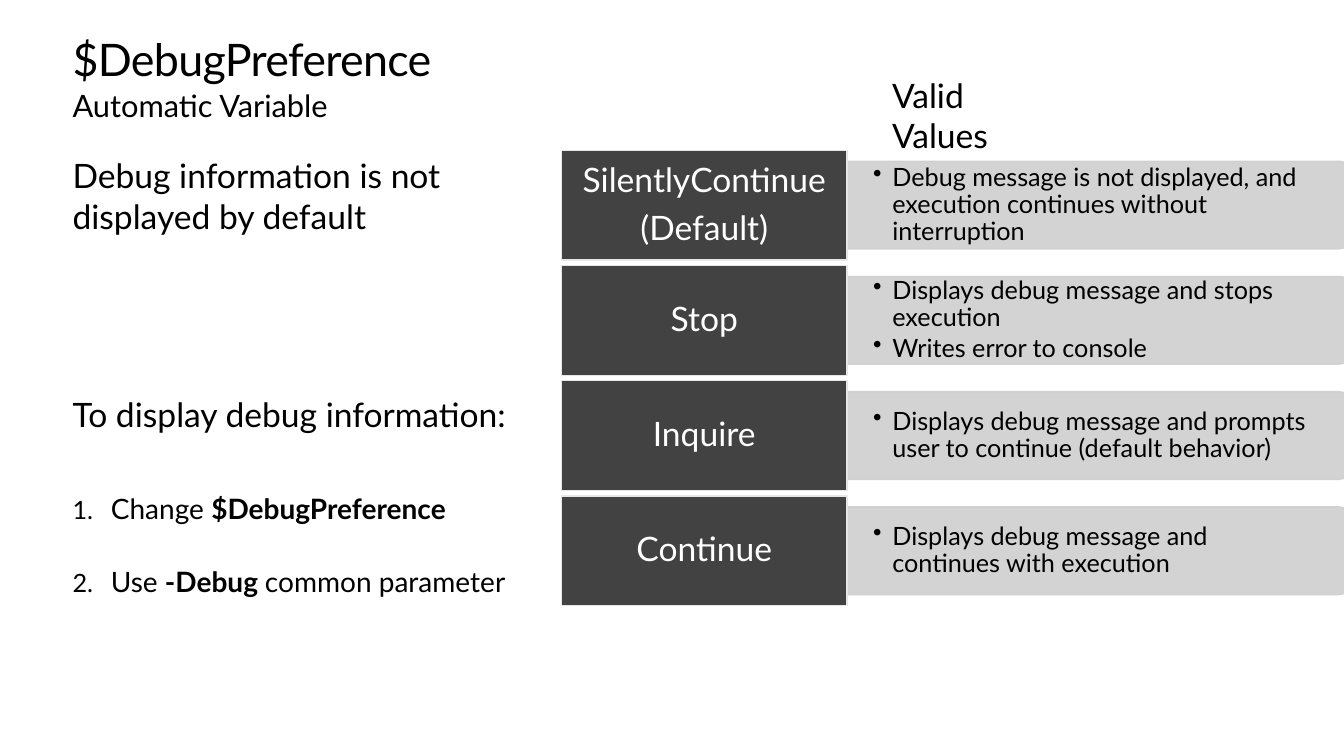
from dataclasses import dataclass

from lxml import etree
from pptx import Presentation
from pptx.dml.color import RGBColor
from pptx.enum.shapes import MSO_SHAPE as Shape
from pptx.enum.text import MSO_ANCHOR as Anchor, MSO_AUTO_SIZE as AutoSize, PP_ALIGN as Align
from pptx.oxml.ns import qn
from pptx.util import Inches, Pt


@dataclass(frozen=True)
class Theme:
    font: str = "Lato"
    ink: RGBColor = RGBColor(0x00, 0x00, 0x00)
    tile: RGBColor = RGBColor(0x41, 0x42, 0x41)
    tile_ink: RGBColor = RGBColor(0xFF, 0xFF, 0xFF)
    tile_edge: RGBColor = RGBColor(0xE6, 0xE6, 0xE6)
    band: RGBColor = RGBColor(0xCF, 0xCF, 0xCF)
    title: int = 32
    heading: int = 24
    subtitle: int = 22
    step: int = 20
    detail: int = 18


theme = Theme()


def write(frame, runs, size, color=theme.ink, before=0, after=0, spacing=None, align=Align.LEFT):
    """Fill the frame's empty first paragraph or a new one; runs are (text, bold) pairs."""
    paragraph = frame.paragraphs[0] if not frame.text else frame.add_paragraph()
    paragraph.alignment = align
    paragraph.space_before, paragraph.space_after = Pt(before), Pt(after)
    paragraph.line_spacing = spacing
    for text, bold in runs:
        run = paragraph.add_run()
        run.text = text
        run.font.name, run.font.size, run.font.bold = theme.font, Pt(size), bold
        run.font.color.rgb = color
    return paragraph


def add_marker(paragraph, indent, tag, **attributes):
    """Give the paragraph a hanging bullet or number."""
    props = paragraph._p.get_or_add_pPr()
    props.set("marL", str(Inches(indent)))
    props.set("indent", str(-Inches(indent)))
    if tag == "a:buAutoNum":
        etree.SubElement(props, qn("a:buSzPct"), val="90000")
    etree.SubElement(props, qn(tag), **attributes)


prs = Presentation()
prs.slide_width, prs.slide_height = Inches(13.33), Inches(7.5)
slide = prs.slides.add_slide(prs.slide_layouts[5])
shapes = slide.shapes

# Left column
title = shapes.title
title.left, title.top, title.width, title.height = map(Inches, (0.72, 0.35, 4.76, 0.5))
subtitle = shapes.add_textbox(*map(Inches, (0.72, 0.86, 4.76, 0.5)))
body = shapes.add_textbox(*map(Inches, (0.72, 1.54, 4.76, 5.27)))
for block in (title, subtitle, body):
    frame = block.text_frame
    frame.word_wrap, frame.auto_size, frame.vertical_anchor = True, AutoSize.NONE, Anchor.TOP
    frame.margin_left = frame.margin_right = frame.margin_top = frame.margin_bottom = 0

heading = write(title.text_frame, [("$DebugPreference", False)], theme.title, spacing=Pt(36.2))
heading.runs[0].font._element.set("spc", "-50")
write(subtitle.text_frame, [("Automatic Variable", False)], theme.subtitle, before=6.7)

write(body.text_frame, [("Debug information is not displayed by default", False)], theme.heading, before=6.7)
write(body.text_frame, [("To display debug information:", False)], theme.heading, before=113.2)
steps = [
    ([("Change ", False), ("$DebugPreference", True)], 40.3),
    ([("Use ", False), ("-Debug ", True), ("common parameter", False)], 28.8),
]
for runs, gap in steps:
    step = write(body.text_frame, runs, theme.step, before=gap)
    add_marker(step, 0.38, "a:buAutoNum", type="arabicPeriod")

# Valid values: a dark tile with a grey band beside it
values = [
    (["SilentlyContinue", "(Default)"],
     ["Debug message is not displayed, and execution continues without interruption"]),
    (["Stop"], ["Displays debug message and stops execution", "Writes error to console"]),
    (["Inquire"], ["Displays debug message and prompts user to continue (default behavior)"]),
    (["Continue"], ["Displays debug message and continues with execution"]),
]
tile_left, first_top, tile_width, tile_height, row_step = 5.57, 1.49, 2.83, 1.09, 1.143
band_left, band_length, band_height = 8.39, 5.03, 0.87

for row, (names, effects) in enumerate(values):
    top = first_top + row * row_step
    middle = top + tile_height / 2

    # Turned a quarter so that the rounded corners face right
    band = shapes.add_shape(
        Shape.ROUND_2_SAME_RECTANGLE,
        Inches(band_left + (band_length - band_height) / 2), Inches(middle - band_length / 2),
        Inches(band_height), Inches(band_length))
    band.rotation = 90
    band.shadow.inherit = False
    band.line.width = Pt(1)
    for paint in (band.fill, band.line.fill):
        paint.solid()
        paint.fore_color.rgb = theme.band
    for color in band._element.spPr.iter(qn("a:srgbClr")):
        etree.SubElement(color, qn("a:alpha"), val="90000")

    detail = shapes.add_textbox(
        Inches(band_left), Inches(middle - 0.395), Inches(4.98), Inches(0.79)).text_frame
    detail.word_wrap, detail.vertical_anchor = True, Anchor.MIDDLE
    detail.margin_left = detail.margin_right = Inches(0.27)
    detail.margin_top = detail.margin_bottom = Inches(0.14)
    for effect in effects:
        line = write(detail, [(effect, False)], theme.detail, after=2.7, spacing=0.9)
        add_marker(line, 0.19, "a:buChar", char="•")

    tile = shapes.add_shape(
        Shape.RECTANGLE, Inches(tile_left), Inches(top), Inches(tile_width), Inches(tile_height))
    tile.shadow.inherit = False
    tile.fill.solid()
    tile.fill.fore_color.rgb = theme.tile
    tile.line.color.rgb, tile.line.width = theme.tile_edge, Pt(1)
    tile.text_frame.vertical_anchor = Anchor.MIDDLE
    for name in names:
        write(tile.text_frame, [(name, False)], theme.heading, theme.tile_ink,
              after=8.4, spacing=0.9, align=Align.CENTER)

caption = shapes.add_textbox(*map(Inches, (8.75, 0.69, 1.84, 0.5))).text_frame
caption.word_wrap = True
write(caption, [("Valid Values", False)], theme.heading)

prs.save("out.pptx")
